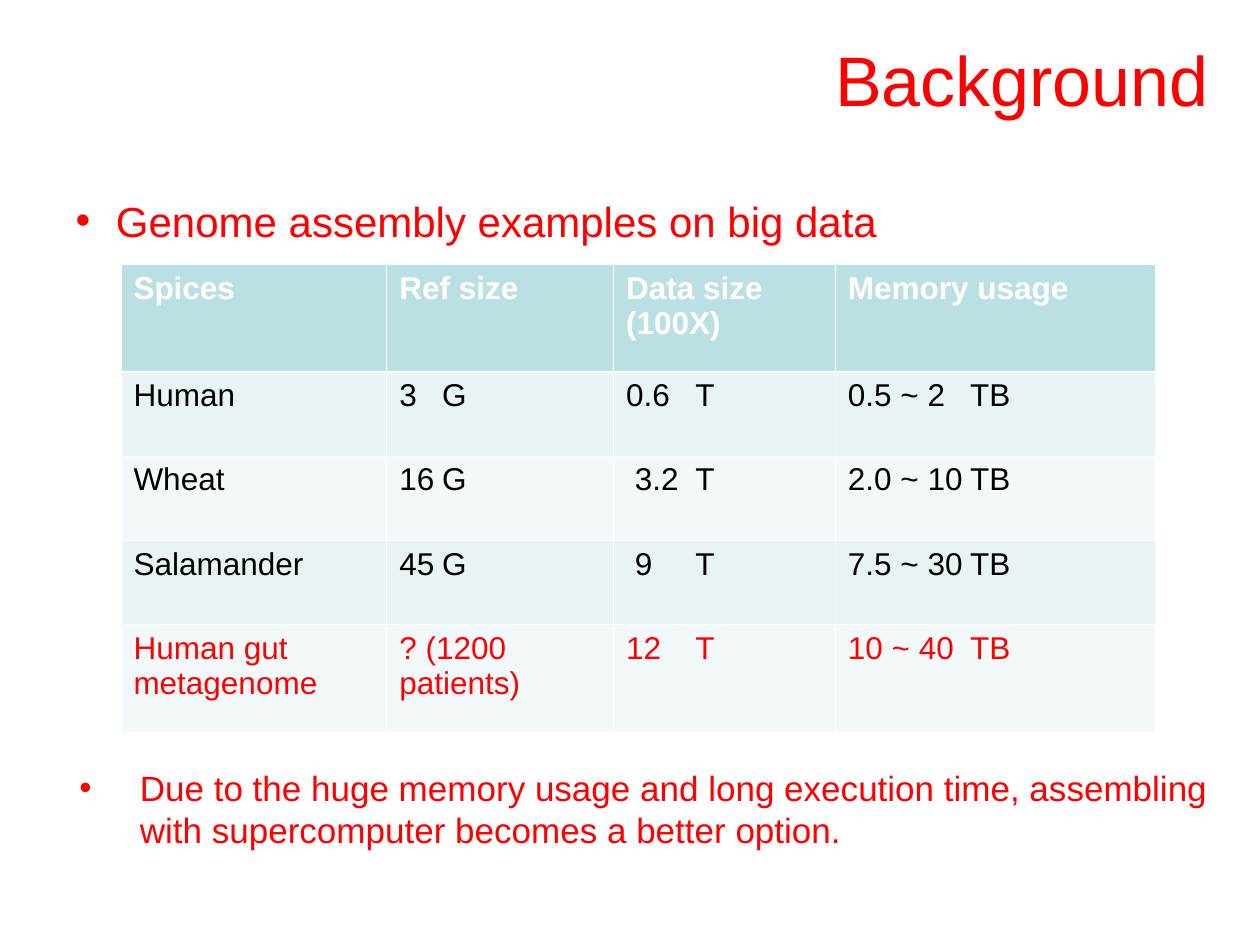
from dataclasses import dataclass

from lxml.etree import SubElement
from pptx import Presentation
from pptx.dml.color import RGBColor
from pptx.enum.text import MSO_ANCHOR, MSO_AUTO_SIZE, PP_ALIGN
from pptx.oxml.ns import qn
from pptx.util import Inches, Pt


@dataclass(frozen=True)
class Theme:
    font: str = "Arial"
    accent: str = "FF0000"
    text: str = "000000"
    white: str = "FFFFFF"
    header: str = "BBE0E3"
    bands: tuple = ("E7F3F4", "F3F9FA")
    title_size: int = 40
    lead_size: int = 24
    note_size: int = 20
    cell_size: int = 18


theme = Theme()


def style_text(tf, size, color, bold=False):
    for p in tf.paragraphs:
        for r in p.runs:
            r.font.name = theme.font
            r.font.size = Pt(size)
            r.font.bold = bold
            r.font.color.rgb = RGBColor.from_string(color)


def add_border(cell, side, width):
    ln = SubElement(cell._tc.get_or_add_tcPr(), qn(f"a:ln{side}"), w=str(Pt(width)))
    fill = SubElement(ln, qn("a:solidFill"))
    SubElement(fill, qn("a:srgbClr"), val=theme.white)


prs = Presentation()
prs.slide_width, prs.slide_height = Inches(10), Inches(7.5)
s = prs.slides.add_slide(prs.slide_layouts.get_by_name("Two Content"))

# Title
title = s.shapes.title
title.left, title.top = Inches(4.69), Inches(0.23)
title.width, title.height = Inches(5), Inches(0.79)
tf = title.text_frame
tf.text = "Background"
tf.auto_size = MSO_AUTO_SIZE.NONE
tf.vertical_anchor = MSO_ANCHOR.MIDDLE
tf.paragraphs[0].alignment = PP_ALIGN.RIGHT
style_text(tf, theme.title_size, theme.accent)

# Bullets above and below the table: placeholder, box, indent, size, text
bullets = [
    (1, (0.5, 1.5, 9.01, 0.55), 0.32, theme.lead_size,
     "Genome assembly examples on big data"),
    (2, (0.53, 6.03, 9.2, 0.77), 0.48, theme.note_size,
     "Due to the huge memory usage and long execution time, "
     "assembling with supercomputer becomes a better option."),
]
for idx, box, indent, size, text in bullets:
    sp = s.placeholders[idx]
    sp.left, sp.top, sp.width, sp.height = map(Inches, box)
    tf = sp.text_frame
    tf.text = text
    tf.auto_size = MSO_AUTO_SIZE.NONE
    tf.vertical_anchor = MSO_ANCHOR.TOP
    p = tf.paragraphs[0]
    p.space_before = Pt(0)
    pPr = p._p.get_or_add_pPr()
    pPr.set("marL", str(Inches(indent)))
    pPr.set("indent", str(-Inches(indent)))
    bullet_color = SubElement(pPr, qn("a:buClr"))
    SubElement(bullet_color, qn("a:srgbClr"), val=theme.accent)
    SubElement(pPr, qn("a:buChar"), char="•")
    style_text(tf, size, theme.accent)

# Table: a tab stop in each column lines up the units
rows = [
    ("Spices", "Ref size", "Data size (100X)", "Memory usage"),
    ("Human", "3\tG", "0.6\tT", "0.5 ~ 2\tTB"),
    ("Wheat", "16\tG", " 3.2\tT", "2.0 ~ 10\tTB"),
    ("Salamander", "45\tG", " 9\tT", "7.5 ~ 30\tTB"),
    ("Human gut metagenome", "? (1200 patients)", "12\tT", "10 ~ 40\tTB"),
]
col_widths = [2.11, 1.8, 1.76, 2.54]
unit_stops = [None, 0.34, 0.55, 0.97]
row_heights = [0.85, 0.67, 0.67, 0.67, 0.85]
last_row = len(rows) - 1

table = s.shapes.add_table(
    len(rows), len(col_widths), Inches(0.96), Inches(2.1),
    Inches(sum(col_widths)), Inches(sum(row_heights))).table
for column, width in zip(table.columns, col_widths):
    column.width = Inches(width)

for i, (values, height) in enumerate(zip(rows, row_heights)):
    table.rows[i].height = Inches(height)
    fill = theme.bands[(i - 1) % 2] if i else theme.header
    color = {0: theme.white, last_row: theme.accent}.get(i, theme.text)
    for j, value in enumerate(values):
        cell = table.cell(i, j)
        cell.text = value
        if "\t" in value:
            pPr = cell.text_frame.paragraphs[0]._p.get_or_add_pPr()
            stops = SubElement(pPr, qn("a:tabLst"))
            SubElement(stops, qn("a:tab"), pos=str(Inches(unit_stops[j])), algn="l")
        style_text(cell.text_frame, theme.cell_size, color, bold=i == 0)
        for side in "LRTB":
            under_header = (i, side) in ((0, "B"), (1, "T"))
            add_border(cell, side, 1.47 if under_header else 0.45)
        cell.fill.solid()
        cell.fill.fore_color.rgb = RGBColor.from_string(fill)

prs.save("out.pptx")
